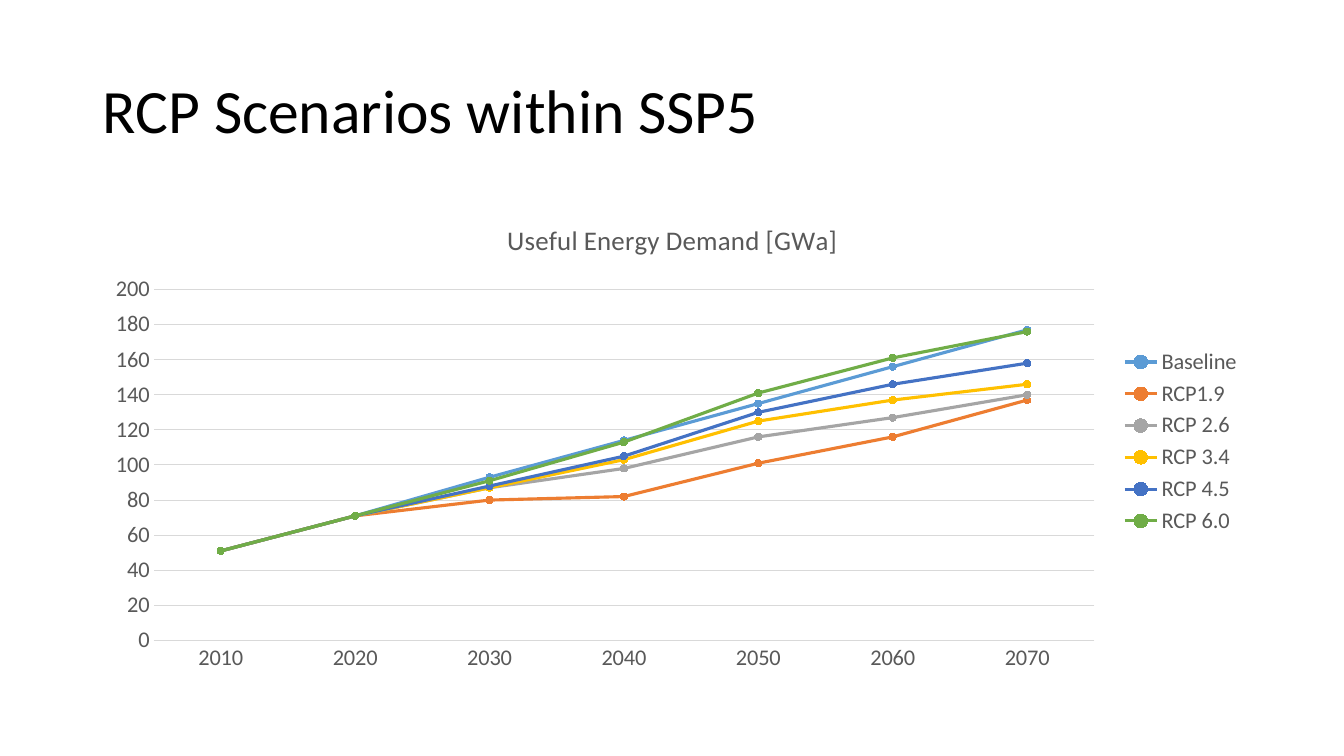
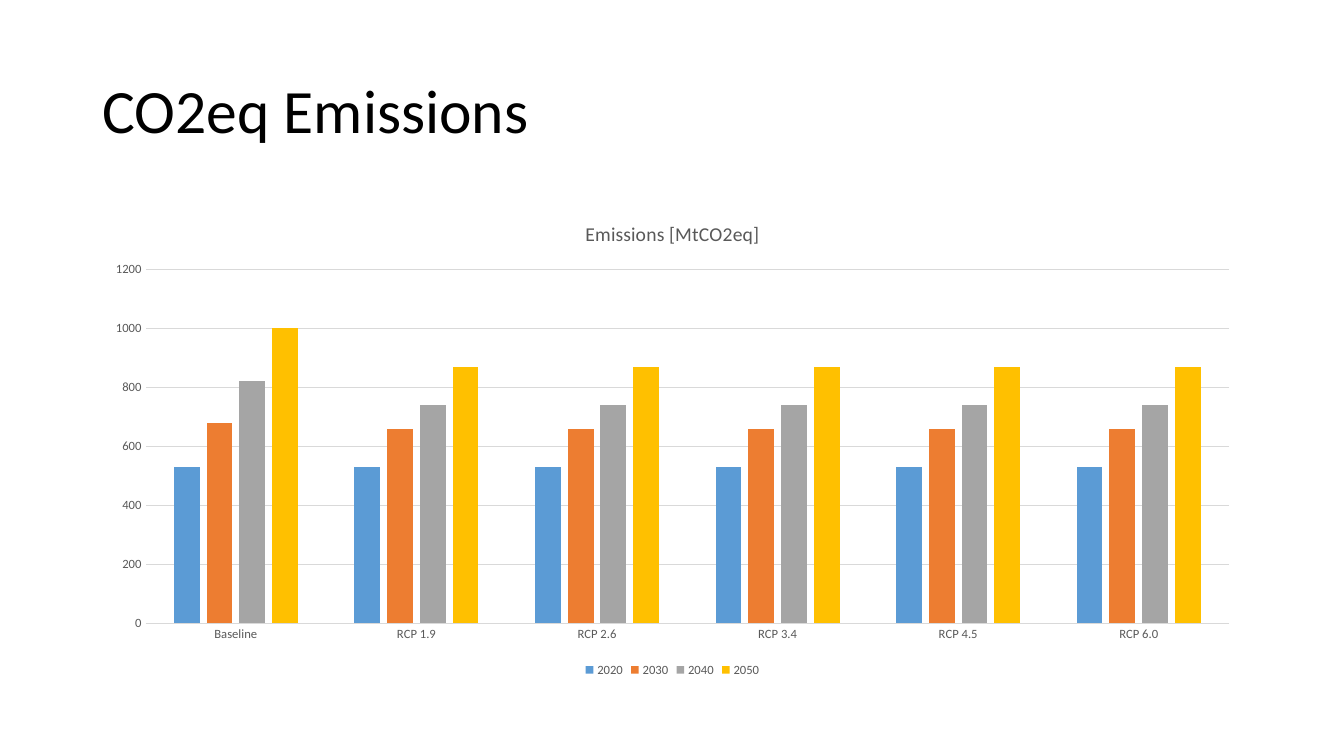
from dataclasses import dataclass

from pptx import Presentation
from pptx.chart.data import CategoryChartData
from pptx.dml.color import RGBColor
from pptx.enum.chart import XL_CHART_TYPE, XL_LEGEND_POSITION, XL_MARKER_STYLE, XL_TICK_MARK
from pptx.enum.text import MSO_ANCHOR
from pptx.util import Inches, Pt


@dataclass(frozen=True)
class Theme:
    """Colours, font and type sizes shared by the slides."""
    font: str = "Calibri"
    title_size: float = 44
    title_color: RGBColor = RGBColor(0, 0, 0)
    label_color: RGBColor = RGBColor(0x59, 0x59, 0x59)
    grid_color: RGBColor = RGBColor(0xD9, 0xD9, 0xD9)
    grid_width: float = 0.75
    series_width: float = 2.25
    marker_size: int = 5
    line_title_size: float = 19.2
    line_label_size: float = 16
    column_title_size: float = 14
    column_label_size: float = 9
    series_colors: tuple = tuple(RGBColor.from_string(code) for code in (
        "5B9BD5", "ED7D31", "A5A5A5", "FFC000", "4472C4", "70AD47"))


theme = Theme()
presentation = Presentation()
presentation.slide_width = Inches(13.33)
presentation.slide_height = Inches(7.5)
left, width = Inches(0.92), Inches(11.5)


def style_font(font, size, color):
    """Apply the theme font with a size and colour, not bold."""
    font.name = theme.font
    font.size = Pt(size)
    font.bold = False
    font.color.rgb = color


def add_chart_slide(title, chart_type, chart_title, categories, series_values,
                    title_size, label_size, legend_position, axis_maximum, axis_step):
    """Add a slide with a title and a styled chart; return the chart."""
    slide = presentation.slides.add_slide(presentation.slide_layouts[6])
    title_box = slide.shapes.add_textbox(left, Inches(0.4), width, Inches(1.45))
    title_box.text_frame.word_wrap = True
    title_box.text_frame.vertical_anchor = MSO_ANCHOR.MIDDLE
    paragraph = title_box.text_frame.paragraphs[0]
    paragraph.line_spacing = 0.9
    run = paragraph.add_run()
    run.text = title
    style_font(run.font, theme.title_size, theme.title_color)

    chart_data = CategoryChartData()
    chart_data.categories = categories
    for name, values in series_values.items():
        chart_data.add_series(name, values)
    chart = slide.shapes.add_chart(
        chart_type, left, Inches(2), width, Inches(4.76), chart_data).chart
    style_font(chart.font, label_size, theme.label_color)

    chart.has_title = True
    run = chart.chart_title.text_frame.paragraphs[0].add_run()
    run.text = chart_title
    style_font(run.font, title_size, theme.label_color)
    chart.chart_title.include_in_layout = False

    chart.has_legend = True
    chart.legend.position = legend_position
    chart.legend.include_in_layout = False
    style_font(chart.legend.font, label_size, theme.label_color)

    for axis in (chart.category_axis, chart.value_axis):
        axis.major_tick_mark = axis.minor_tick_mark = XL_TICK_MARK.NONE
        style_font(axis.tick_labels.font, label_size, theme.label_color)
    value_axis = chart.value_axis
    value_axis.minimum_scale = 0
    value_axis.maximum_scale = axis_maximum
    value_axis.major_unit = axis_step
    value_axis.format.line.fill.background()
    value_axis.has_major_gridlines = True
    for line in (chart.category_axis.format.line, value_axis.major_gridlines.format.line):
        line.color.rgb = theme.grid_color
        line.width = Pt(theme.grid_width)
    chart.plots[0].vary_by_categories = False
    return chart


demand_chart = add_chart_slide(
    "RCP Scenarios within SSP5", XL_CHART_TYPE.LINE_MARKERS, "Useful Energy Demand [GWa]",
    [str(year) for year in range(2010, 2080, 10)],
    {
        "Baseline": (51, 71, 93, 114, 135, 156, 177),
        "RCP1.9": (51, 71, 80, 82, 101, 116, 137),
        "RCP 2.6": (51, 71, 87, 98, 116, 127, 140),
        "RCP 3.4": (51, 71, 87, 103, 125, 137, 146),
        "RCP 4.5": (51, 71, 88, 105, 130, 146, 158),
        "RCP 6.0": (51, 71, 91, 113, 141, 161, 176),
    },
    theme.line_title_size, theme.line_label_size, XL_LEGEND_POSITION.RIGHT, 200, 20)
for series, color in zip(demand_chart.series, theme.series_colors):
    series.smooth = False
    series.format.line.color.rgb = color
    series.format.line.width = Pt(theme.series_width)
    series.marker.style = XL_MARKER_STYLE.CIRCLE
    series.marker.size = theme.marker_size
    series.marker.format.fill.solid()
    series.marker.format.fill.fore_color.rgb = color
    series.marker.format.line.color.rgb = color

emissions_chart = add_chart_slide(
    "CO2eq Emissions", XL_CHART_TYPE.COLUMN_CLUSTERED, "Emissions [MtCO2eq]",
    ["Baseline", "RCP 1.9", "RCP 2.6", "RCP 3.4", "RCP 4.5", "RCP 6.0"],
    {
        "2020": [530] * 6,
        "2030": [680] + [660] * 5,
        "2040": [820] + [740] * 5,
        "2050": [1000] + [870] * 5,
    },
    theme.column_title_size, theme.column_label_size, XL_LEGEND_POSITION.BOTTOM, 1200, 200)
emissions_chart.plots[0].gap_width = 219
emissions_chart.plots[0].overlap = -27
for series, color in zip(emissions_chart.series, theme.series_colors):
    series.format.fill.solid()
    series.format.fill.fore_color.rgb = color

presentation.save("out.pptx")
